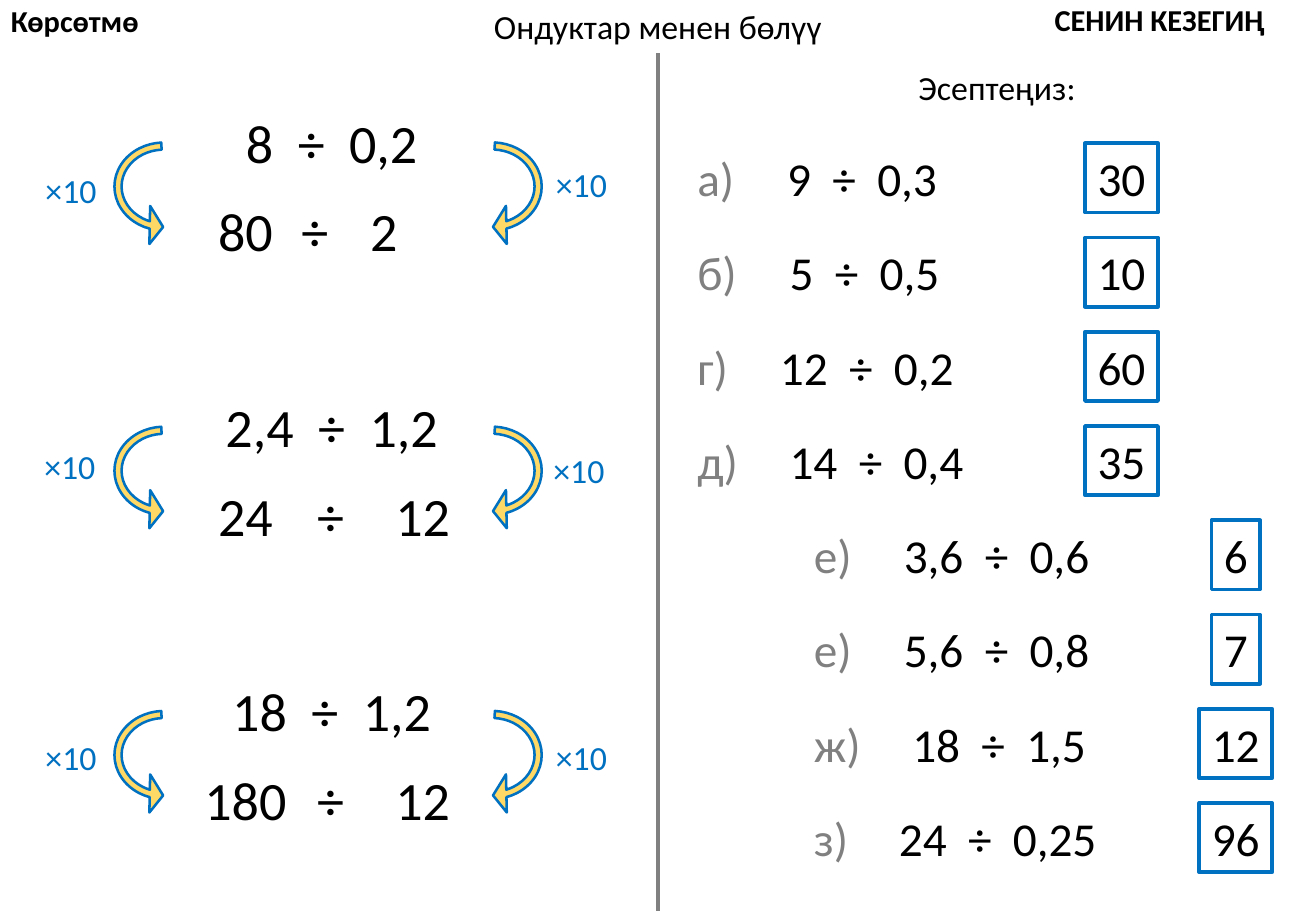
from dataclasses import dataclass

from lxml import etree
from pptx import Presentation
from pptx.dml.color import RGBColor as RGB
from pptx.enum.shapes import MSO_CONNECTOR as LINE, MSO_SHAPE as SHAPE
from pptx.enum.text import MSO_ANCHOR as ANCHOR, MSO_AUTO_SIZE as AUTO, PP_ALIGN as ALIGN
from pptx.oxml.ns import qn
from pptx.util import Inches, Pt


@dataclass
class Theme:
    font: str = "Calibri"
    black: RGB = RGB(0, 0, 0)
    white: RGB = RGB(255, 255, 255)
    gray: RGB = RGB(0x80, 0x80, 0x80)
    blue: RGB = RGB(0x00, 0x70, 0xC0)
    yellow: RGB = RGB(0xFF, 0xD9, 0x66)
    corner: int = 18
    heading: int = 20
    exercise: int = 28
    example: int = 32
    space: float = 0.226  # width of a space as a share of the type size


T = Theme()


def write(sp, text, size=T.heading, color=T.black, bold=False,
          align=ALIGN.CENTER, wrap=False, wide=False):
    """Append text to the shape; wide doubles the gaps between words."""
    tf = sp.text_frame
    tf.word_wrap, tf.auto_size, tf.vertical_anchor = wrap, AUTO.NONE, ANCHOR.TOP
    p = tf.paragraphs[0]
    p.alignment = align
    pieces = text.replace(" ", "| |").split("|") if wide else [text]
    for piece in pieces:
        r = p.add_run()
        r.text = piece
        r.font.name, r.font.size, r.font.bold = T.font, Pt(size), bold
        r.font.color.rgb = color
        if piece == " ":
            r._r.get_or_add_rPr().set("spc", str(round(size * T.space * 100)))


def place(shapes, x, y, w, h, kind=None):
    """Add a text box, or a preset shape with the blue outline."""
    box = [Inches(v) for v in (x, y, w, h)]
    if kind is None:
        return shapes.add_textbox(*box)
    sp = shapes.add_shape(kind, *box)
    sp.shadow.inherit = False
    sp.fill.solid()
    sp.line.color.rgb = T.blue
    return sp


prs = Presentation()
prs.slide_width, prs.slide_height = Inches(10.83), Inches(7.5)
slide = prs.slides.add_slide(prs.slide_layouts[5])
shapes = slide.shapes

# Title and the divider below it
title = shapes.title
title.left, title.top = Inches(3.95), 0
title.width, title.height = Inches(2.93), Inches(0.44)
write(title, "Ондуктар менен бөлүү")
middle = prs.slide_width // 2
divider = shapes.add_connector(LINE.STRAIGHT, middle, title.height, middle, prs.slide_height)
divider.begin_connect(title, 2)
divider.line.color.rgb, divider.line.width = T.gray, Pt(2.25)
etree.SubElement(divider._element.spPr, qn("a:effectLst"))

# Corner labels and the heading of the exercises
for text, x, y, w in [("Көрсөтмө", -0.01, -0.03, 1.38), ("СЕНИН КЕЗЕГИҢ", 8.58, -0.04, 2.27)]:
    write(place(shapes, x, y, w, 0.4), text, T.corner, bold=True, align=ALIGN.LEFT, wrap=True)
write(place(shapes, 7.45, 0.5, 1.51, 0.44), "Эсептеңиз:")

# Worked examples: sum, its width, scaled parts with their centres,
# and the places of the left and right factors
examples = [
    ("8 ÷ 0,2", 1.63, [("80", 2.02), ("÷", 2.59), ("2", 3.16)], (0.27, 0.5), (4.47, 0.45)),
    ("2,4 ÷ 1,2", 1.97, [("24", 2.02), ("÷", 2.72), ("12", 3.48)], (0.26, 0.43), (4.45, 0.46)),
    ("18 ÷ 1,2", 1.86, [("180", 2.02), ("÷", 2.72), ("12", 3.48)], (0.27, 0.49), (4.47, 0.49)),
]
for i, (total, width, parts, *factors) in enumerate(examples):
    top = 0.85 + 2.34 * i
    group = shapes.add_group_shape().shapes
    write(place(group, 2.73 - width / 2, top, width, 0.64), total, T.example, wide=True)
    for text, centre in parts:
        w = 0.2 + 0.23 * len(text)
        write(place(group, centre - w / 2, top + 0.73, w, 0.64), text, T.example)
    for x, flipped in [(3.56, False), (0.86, True)]:
        arrow = place(group, x, top + 0.15, 0.98, 1.07, SHAPE.CIRCULAR_ARROW)
        for k, value in enumerate([0.06, 11.42, 203.85, 110.16, 0.16]):
            arrow.adjustments[k] = value
        arrow.rotation = 90
        if flipped:
            arrow._element.spPr.xfrm.set("flipV", "1")
        arrow.fill.fore_color.rgb, arrow.line.width = T.yellow, Pt(1.5)
    for x, dy in factors:
        write(place(group, x, top + dy, 0.63, 0.44), "×10", color=T.blue)

# Exercises: letter, sum, answer and the tab stop of the sum
exercises = [
    ("а)", "9 ÷ 0,3", "30", 0.74), ("б)", "5 ÷ 0,5", "10", 0.76),
    ("г)", "12 ÷ 0,2", "60", 0.68), ("д)", "14 ÷ 0,4", "35", 0.76),
    ("е)", "3,6 ÷ 0,6", "6", 0.74), ("е)", "5,6 ÷ 0,8", "7", 0.74),
    ("ж)", "18 ÷ 1,5", "12", 0.81), ("з)", "24 ÷ 0,25", "96", 0.7),
]
for i, (letter, total, answer, stop) in enumerate(exercises):
    top = 1.18 + 0.776 * i
    x, centre = (5.64, 9.23) if i < 4 else (6.6, 10.17)
    row = place(shapes, x, top, 2.6, 0.57)
    pPr = row.text_frame.paragraphs[0]._p.get_or_add_pPr()
    tabs = etree.SubElement(pPr, qn("a:tabLst"))
    etree.SubElement(tabs, qn("a:tab"), pos=str(Inches(stop)), algn="l")
    style = dict(size=T.exercise, align=ALIGN.LEFT, wrap=True)
    write(row, letter + "\t", color=T.gray, **style)
    write(row, total, wide=True, **style)

    w = 0.2 + 0.2 * len(answer)
    box = place(shapes, centre - w / 2, top, w, 0.57, SHAPE.RECTANGLE)
    box.fill.fore_color.rgb, box.line.width = T.white, Pt(2.25)
    write(box, answer, T.exercise)

prs.save("out.pptx")
